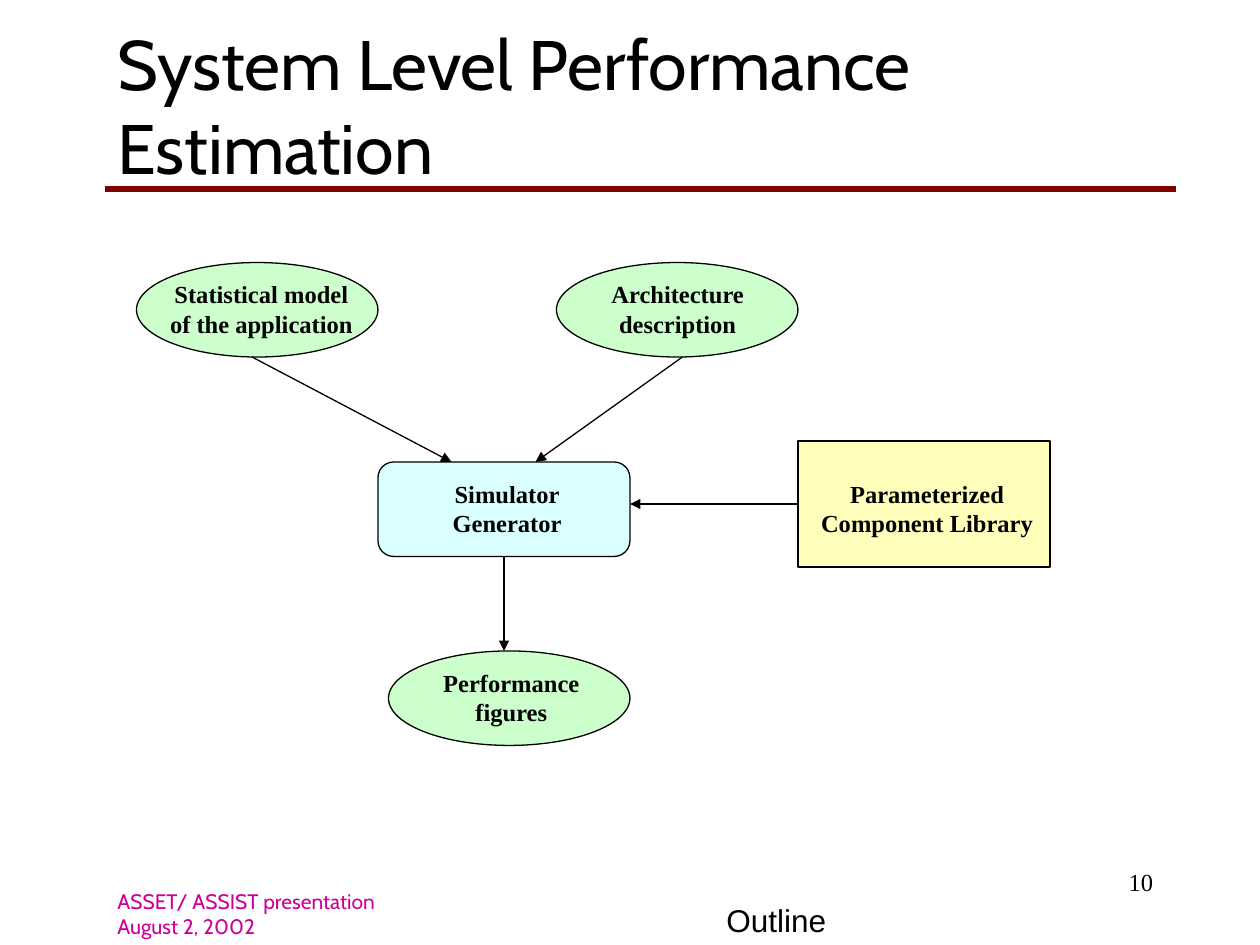
import pptx
import pptx.util
import pptx.dml.color
import pptx.enum.shapes
import pptx.enum.text
import pptx.oxml.ns
import pptx.oxml.xmlchemy

KIND = pptx.enum.shapes.MSO_SHAPE
ALIGN = pptx.enum.text.PP_ALIGN
ANCHOR = pptx.enum.text.MSO_ANCHOR
COLS, ROWS = 120, 90

deck = pptx.Presentation()
deck.slide_width = pptx.util.Inches(10)
deck.slide_height = pptx.util.Inches(7.5)
slide = deck.slides.add_slide(deck.slide_layouts[6])


def tint(code):
    return pptx.dml.color.RGBColor.from_string(code)


def spot(box, col, row):
    """Point on the slide grid, counted from the corner of a box."""
    return (round((box[0] + col) * deck.slide_width / COLS),
            round((box[1] + row) * deck.slide_height / ROWS))


def area(box, col, row, wide, high):
    return *spot(box, col, row), *spot((0, 0), wide, high)


def write(place, text, font, align=ALIGN.LEFT, anchor=ANCHOR.MIDDLE, wrap=True):
    frame = slide.shapes.add_textbox(*place).text_frame
    frame.word_wrap = wrap
    frame.vertical_anchor = anchor
    frame.text = text
    style = {"bold": False, **font}
    color = style.pop("color", "000000")
    style["size"] = pptx.util.Pt(style["size"])
    for para in frame.paragraphs:
        para.alignment = align
        for run in para.runs:
            for key, value in style.items():
                setattr(run.font, key, value)
            run.font.color.rgb = tint(color)


def shape(place, kind, fill):
    item = slide.shapes.add_shape(kind, *place)
    item.shadow.inherit = False
    item.fill.solid()
    item.fill.fore_color.rgb = tint(fill)
    item.line.color.rgb = tint("000000")
    item.line.width = pptx.util.Pt(0.75)
    return item


def line(start, end, color="000000", width=0.75, arrow=True):
    item = slide.shapes.add_connector(
        pptx.enum.shapes.MSO_CONNECTOR.STRAIGHT, *start, *end)
    item.line.color.rgb = tint(color)
    item.line.width = pptx.util.Pt(width)
    props = item._element.spPr
    if arrow:
        tip = pptx.oxml.xmlchemy.OxmlElement("a:tailEnd")
        tip.set("type", "triangle")
        props.find(pptx.oxml.ns.qn("a:ln")).append(tip)
    props.append(pptx.oxml.xmlchemy.OxmlElement("a:effectLst"))
    return item


def head(box):
    # Title above a rule
    write(area(box, 0, 0, 93, 12), "System Level Performance Estimation",
          {"name": "Cabin", "size": 40})
    line(spot(box, 0, box[3]), spot(box, box[2], box[3]), "800000", 3, False)


def flow(box):
    # Nodes: kind, fill, place
    green, blue, yellow = "CCFFCC", "D9FFFF", "FFFFBB"
    nodes = {
        "stats": (KIND.OVAL, green, (0, 0, 23, 9)),
        "arch": (KIND.OVAL, green, (40, 0, 23, 9)),
        "sim": (KIND.ROUNDED_RECTANGLE, blue, (23, 19, 24, 9)),
        "lib": (KIND.RECTANGLE, yellow, (63, 17, 24, 12)),
        "perf": (KIND.OVAL, green, (24, 37, 23, 9)),
    }
    made = {key: shape(area(box, *place), kind, fill)
            for key, (kind, fill, place) in nodes.items()}

    # Arrows: start, end, joined node and side
    arrows = [
        ((11, 9), (30, 19), None),
        ((52, 9), (38, 19), None),
        ((63, 23), (47, 23), ("lib", 1)),
        ((35, 28), (35, 37), ("sim", 2)),
    ]
    for start, end, join in arrows:
        item = line(spot(box, *start), spot(box, *end))
        if join:
            item.begin_connect(made[join[0]], join[1])

    # Labels: column, row, width, text
    labels = [
        (1.5, 1, 20.8, "Statistical model\nof the application"),
        (43.5, 1, 16.1, "Architecture\ndescription"),
        (28.3, 20, 14, "Simulator\nGenerator"),
        (63.5, 20, 23.6, "Parameterized\nComponent Library"),
        (27.5, 38, 16.4, "Performance\nfigures"),
    ]
    font = {"name": "Times New Roman", "size": 14, "bold": True}
    for col, row, wide, text in labels:
        write(area(box, col, row, wide, 6.8), text, font, ALIGN.CENTER, wrap=False)


def foot(box):
    # Outline mark, event and date, page number
    write(area(box, 58, 3.2, 13, 4.8), "Outline",
          {"name": "Arial", "size": 18}, anchor=ANCHOR.BOTTOM)
    write(area(box, 0, 4, 38, 4), "ASSET/ ASSIST presentation\vAugust 2, 2002",
          {"name": "Cabin", "size": 12, "color": "CC0099"}, anchor=ANCHOR.BOTTOM)
    write(area(box, 76, 0, 25, 6), "10", {"name": "Times New Roman", "size": 14},
          ALIGN.RIGHT, ANCHOR.TOP)


head((10, 4, 102, 14))
flow((13, 25, 87, 46))
foot((10, 82, 101, 8))
deck.save("out.pptx")
